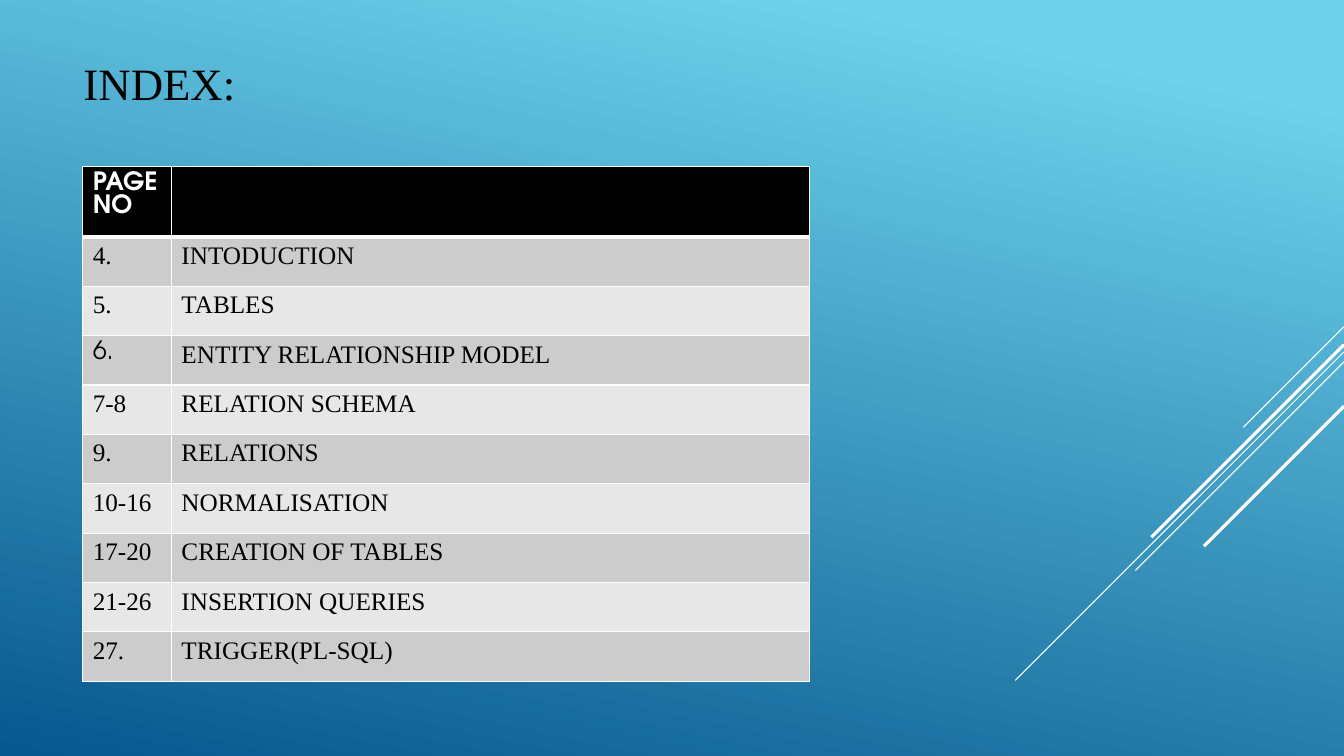
from lxml.etree import SubElement
from pptx import Presentation
from pptx.dml.color import RGBColor
from pptx.enum.shapes import MSO_CONNECTOR
from pptx.enum.text import MSO_ANCHOR
from pptx.oxml.ns import qn
from pptx.util import Inches, Pt

SERIF = "Times New Roman"
SANS = "TeX Gyre Adventor"
TITLE = "INDEX:"
ROWS = [
    ("PAGE NO", ""),
    ("4.", "INTODUCTION"),
    ("5.", "TABLES"),
    ("6.", "ENTITY RELATIONSHIP MODEL"),
    ("7-8", "RELATION SCHEMA"),
    ("9.", "RELATIONS"),
    ("10-16", "NORMALISATION"),
    ("17-20", "CREATION OF TABLES"),
    ("21-26", "INSERTION QUERIES"),
    ("27.", "TRIGGER(PL-SQL)"),
]
SANS_CELLS = {"PAGE NO", "6."}
COLUMN_WIDTHS = (0.88, 6.33)
ROW_HEIGHT = 0.49
BANDS = ("E7E7E7", "CCCCCC")
GRADIENT = ((0.1, "6ED2EB"), (1, "06588E"))
SLIDE_WIDTH = 13.33
# Diagonals from the right edge: start height, horizontal run, line width
DIAGONALS = [
    (3.24, 1.0, 0.75),
    (3.49, 3.26, 0.75),
    (3.59, 2.07, 0.75),
    (3.42, 1.91, 2.25),
    (4.03, 1.39, 2.25),
]


def color(value):
    return RGBColor.from_string(value)


def add_run(paragraph, text, size, font, fill, bold=False):
    run = paragraph.add_run()
    run.text = text
    run.font.size = Pt(size)
    run.font.name = font
    run.font.bold = bold
    run.font.color.rgb = color(fill)


def set_borders(cell, bottom_width):
    """Give the cell white borders; they must precede its fill in the XML."""
    properties = cell._tc.get_or_add_tcPr()
    for side, width in (("L", 1), ("R", 1), ("T", 1), ("B", bottom_width)):
        border = SubElement(properties, qn(f"a:ln{side}"), w=str(Pt(width)))
        solid = SubElement(border, qn("a:solidFill"))
        SubElement(solid, qn("a:srgbClr"), val="FFFFFF")


def add_diagonal(slide, top, run, width):
    line = slide.shapes.add_connector(
        MSO_CONNECTOR.STRAIGHT, Inches(SLIDE_WIDTH), Inches(top),
        Inches(SLIDE_WIDTH - run), Inches(top + run))
    line.line.color.rgb = color("FFFFFF")
    line.line.width = Pt(width)
    SubElement(line._element.spPr, qn("a:effectLst"))


def add_index(slide):
    table = slide.shapes.add_table(
        len(ROWS), len(COLUMN_WIDTHS), Inches(0.82), Inches(1.65),
        Inches(sum(COLUMN_WIDTHS)), Inches(ROW_HEIGHT * len(ROWS))).table
    for column, width in zip(table.columns, COLUMN_WIDTHS):
        column.width = Inches(width)
    for row_number, texts in enumerate(ROWS):
        header = row_number == 0
        table.rows[row_number].height = Inches(ROW_HEIGHT)
        for column_number, text in enumerate(texts):
            cell = table.cell(row_number, column_number)
            set_borders(cell, 3 if header else 1)
            cell.fill.solid()
            cell.fill.fore_color.rgb = color("000000" if header else BANDS[row_number % 2])
            if text:
                add_run(cell.text_frame.paragraphs[0], text, 18,
                        SANS if text in SANS_CELLS else SERIF,
                        "FFFFFF" if header else "000000", header)


def main():
    presentation = Presentation()
    presentation.slide_width = Inches(SLIDE_WIDTH)
    presentation.slide_height = Inches(7.5)
    slide = presentation.slides.add_slide(presentation.slide_layouts[6])

    background = slide.background.fill
    background.gradient()
    background.gradient_angle = 258
    for stop, (position, value) in zip(background.gradient_stops, GRADIENT):
        stop.position = position
        stop.color.rgb = color(value)

    for diagonal in DIAGONALS:
        add_diagonal(slide, *diagonal)

    title = slide.shapes.add_textbox(Inches(0.73), Inches(0.29), Inches(9.33), Inches(1.05))
    title.text_frame.word_wrap = True
    title.text_frame.vertical_anchor = MSO_ANCHOR.MIDDLE
    add_run(title.text_frame.paragraphs[0], TITLE, 32, SERIF, "000000")

    add_index(slide)
    presentation.save("out.pptx")


if __name__ == "__main__":
    main()
